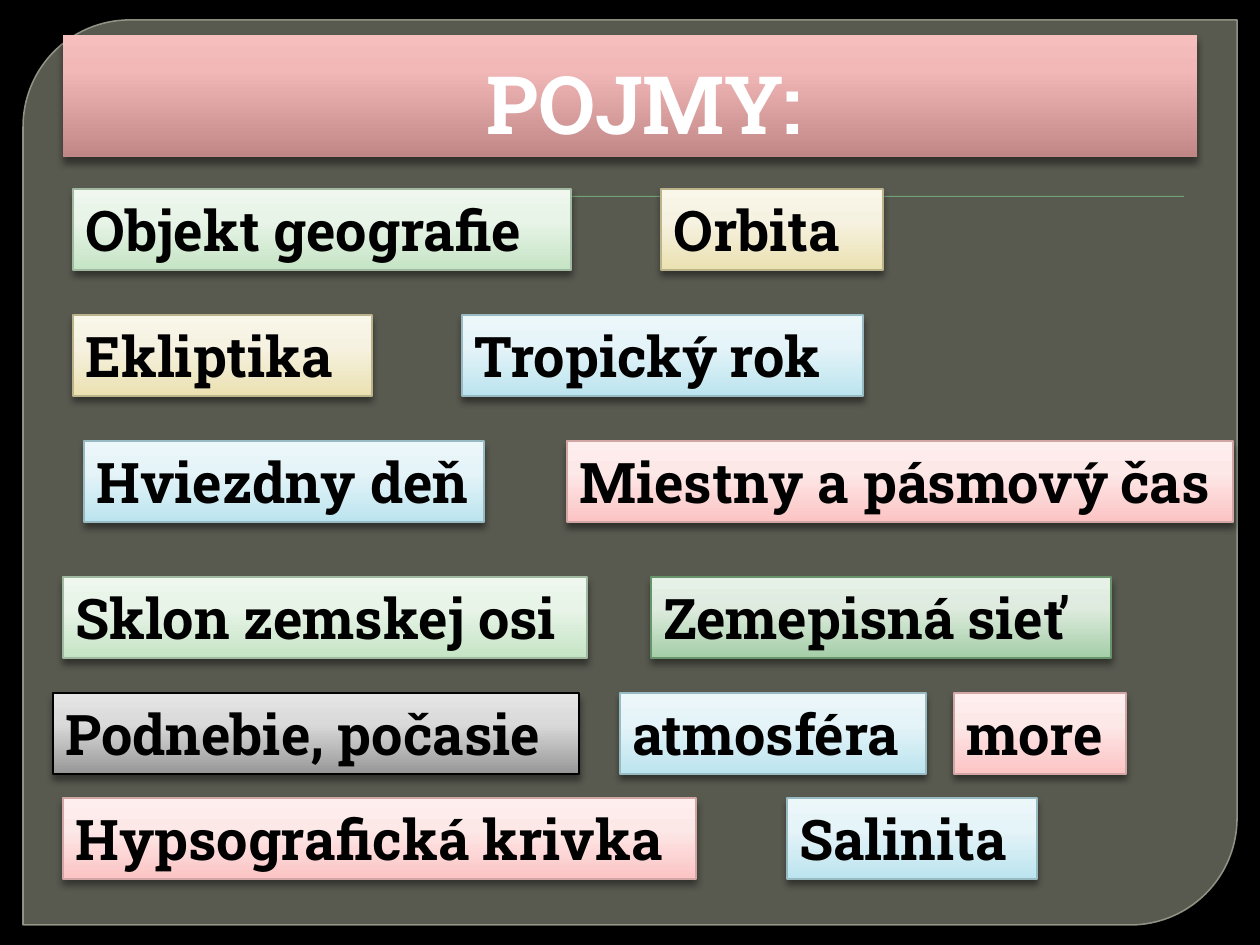
from dataclasses import dataclass
from typing import Any

from lxml import etree
from pptx import Presentation
from pptx import util as u
from pptx.dml.color import RGBColor
from pptx.enum import shapes, text
from pptx.oxml.ns import qn

SCALE = 914400 / 126
TINTS = {
    "mint": ("C5E4C5", "E8F4E8", "EFF7EF", "A0B9A0"),
    "sand": ("EBE1B1", "F6F2E2", "F9F6EA", "BBB389"),
    "sky": ("BCE4EF", "E5F4F8", "ECF7FA", "98BAC3"),
    "rose": ("FCC4C4", "FDE8E8", "FEEEEE", "D3A6A6"),
    "green": ("A4CEA7", "DEEBDE", "E7F1E8", "67946B"),
    "grey": ("979797", "DADADA", "E5E5E5", "000000"),
}
ROWS = [
    (189, [("Objekt geografie", 73, 498, "mint"), ("Orbita", 661, 222, "sand")]),
    (315, [("Ekliptika", 73, 299, "sand"), ("Tropický rok", 462, 401, "sky")]),
    (441, [("Hviezdny deň", 84, 400, "sky"), ("Miestny a pásmový čas", 567, 666, "rose")]),
    (577, [("Sklon zemskej osi", 63, 524, "mint"), ("Zemepisná sieť", 651, 460, "green")]),
    (693, [("Podnebie, počasie", 53, 526, "grey"), ("atmosféra", 620, 306, "sky"),
           ("more", 954, 172, "rose")]),
    (798, [("Hypsografická krivka", 63, 633, "rose"), ("Salinita", 787, 250, "sky")]),
]


def px(length):
    return u.Emu(round(length * SCALE))


def rgb(value):
    return RGBColor.from_string(value)


def add_node(parent, tag, **attributes):
    return etree.SubElement(parent, qn(tag), {key: str(value) for key, value in attributes.items()})


def add_color(parent, value, alpha=100):
    color = add_node(parent, "a:srgbClr", val=value)
    if alpha < 100:
        add_node(color, "a:alpha", val=alpha * 1000)


def set_alpha(holder, alpha):
    color = holder.find(qn("a:solidFill")).find(qn("a:srgbClr"))
    add_node(color, "a:alpha", val=alpha * 1000)


def write(frame, content, size, color, align=text.PP_ALIGN.LEFT, font="Roboto Slab"):
    para = frame.paragraphs[0]
    para.alignment = align
    span = para.add_run()
    span.text = content
    span.font.name, span.font.size, span.font.bold = font, u.Pt(size), True
    span.font.color.rgb = rgb(color)


@dataclass
class Board:
    """Draws the styled parts of one slide of terms."""
    page: Any

    def shape(self, kind, bounds, fill=None, line=None, width=0.75):
        box = self.page.shapes.add_shape(kind, *map(px, bounds))
        box.shadow.inherit = False
        if fill:
            box.fill.solid()
            box.fill.fore_color.rgb = rgb(fill)
        if line:
            box.line.color.rgb = rgb(line)
            box.line.width = u.Pt(width)
        else:
            box.line.fill.background()
        return box

    def shadow(self, box, alpha=43, blur=4, distance=3):
        effects = box.element.spPr.find(qn("a:effectLst"))
        outer = add_node(effects, "a:outerShdw", blurRad=u.Pt(blur), dist=u.Pt(distance),
                         dir=5400000, algn="ctr", rotWithShape=0)
        add_color(outer, "000000", alpha)

    def panel(self, bounds):
        box = self.shape(shapes.MSO_SHAPE.ROUND_2_DIAG_RECTANGLE, bounds, "888B7B", "9DA090", 0.87)
        box.adjustments[0], box.adjustments[1] = 0.118, 0
        set_alpha(box.element.spPr, 65)
        set_alpha(box.element.spPr.find(qn("a:ln")), 88)

    def rule(self, bounds):
        box = self.shape(shapes.MSO_SHAPE.RECTANGLE, bounds, "72A376")
        self.shadow(box, 75, 1, 1)

    def card(self, bounds, colors, middle, line=None):
        box = self.shape(shapes.MSO_SHAPE.RECTANGLE, bounds, line=line)
        box.fill.gradient()
        box.fill.gradient_angle = 90
        stops = box.element.spPr.find(qn("a:gradFill")).find(qn("a:gsLst"))
        for stop in list(stops):
            stops.remove(stop)
        for position, color in zip((0, middle, 100), colors):
            add_color(add_node(stops, "a:gs", pos=position * 1000), color)
        self.shadow(box)
        frame = box.text_frame
        frame.word_wrap = True
        frame.vertical_anchor = text.MSO_ANCHOR.TOP
        return frame

    def title(self, content, bounds):
        frame = self.card(bounds, ("C18787", "F2B8B8", "F7BEBE"), 72)
        frame.vertical_anchor = text.MSO_ANCHOR.BOTTOM
        frame.margin_left = px(40)
        write(frame, content, 46, "FFFFFF", text.PP_ALIGN.CENTER)

    def term(self, content, bounds, tint):
        *colors, line = TINTS[tint]
        frame = self.card(bounds, colors, 62, line)
        frame.margin_right = 0
        write(frame, content, 32, "000000")


def main():
    deck = Presentation()
    deck.slide_width, deck.slide_height = px(1260), px(945)
    page = deck.slides.add_slide(deck.slide_layouts[6])
    page.background.fill.solid()
    page.background.fill.fore_color.rgb = rgb("000000")
    board = Board(page)
    board.panel((23, 20, 1214, 905))
    board.rule((81, 196, 1103, 1))
    board.title("POJMY:", (63, 35, 1134, 122))
    for top, terms in ROWS:
        for content, left, width, tint in terms:
            board.term(content, (left, top, width, 81), tint)
    deck.save("out.pptx")


if __name__ == "__main__":
    main()
